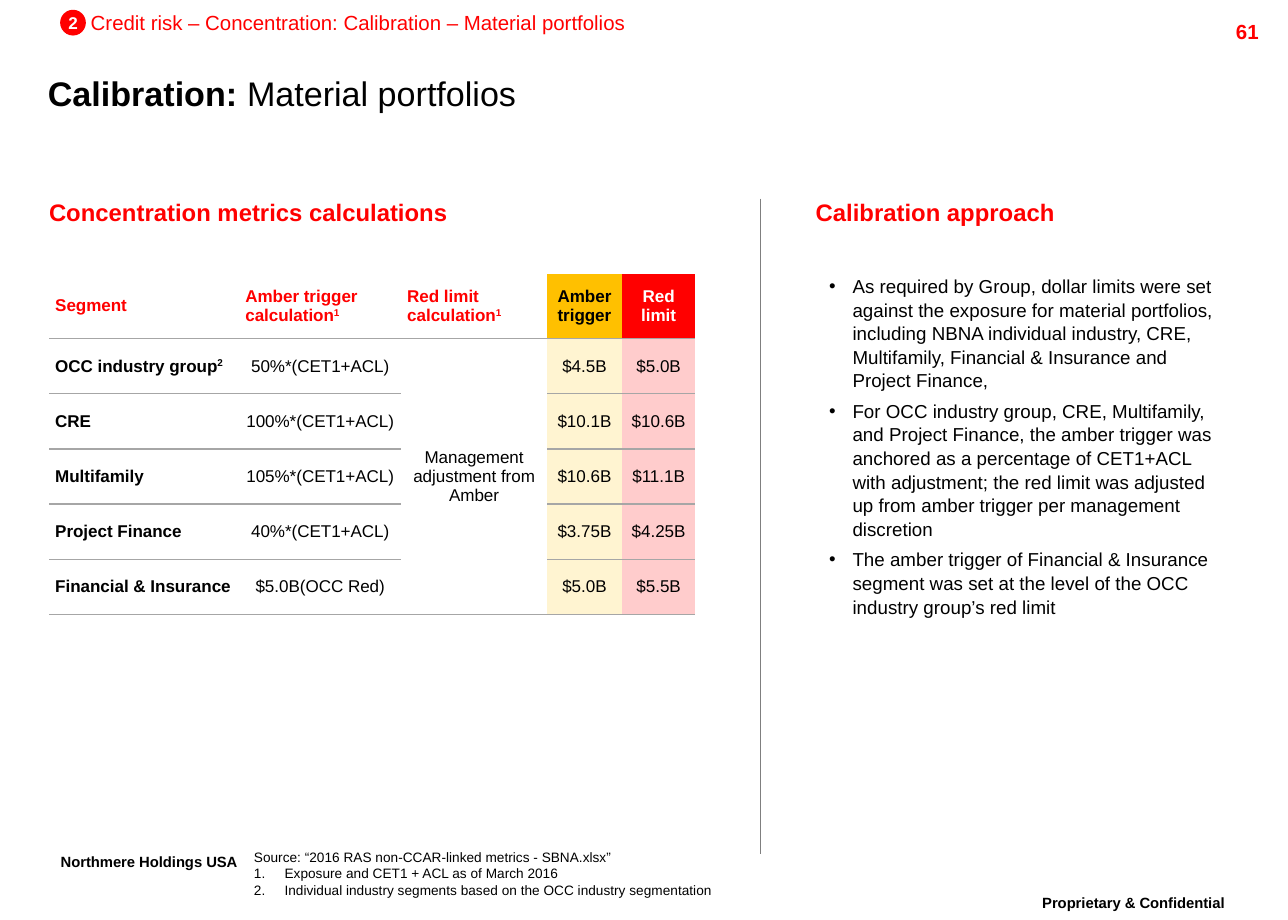
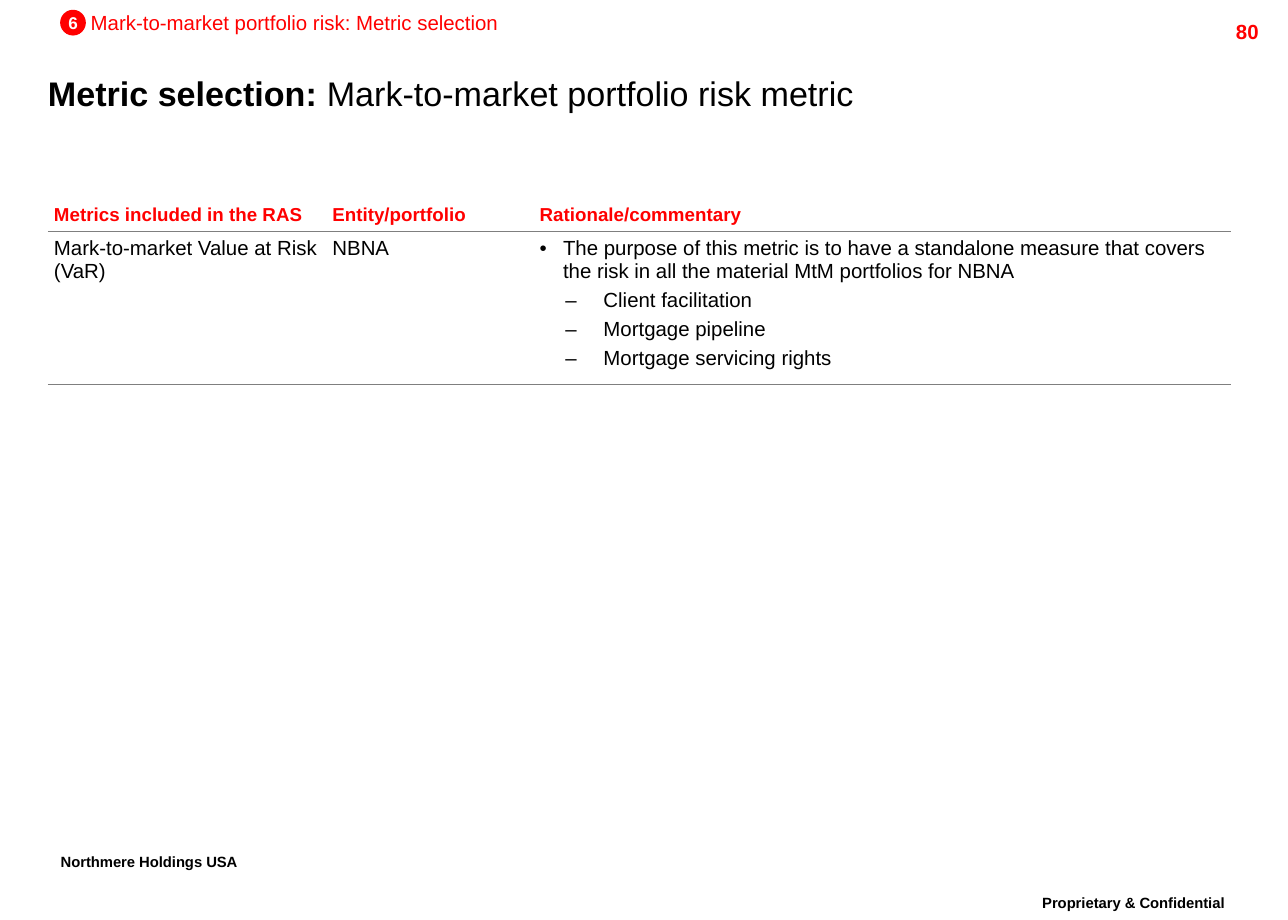
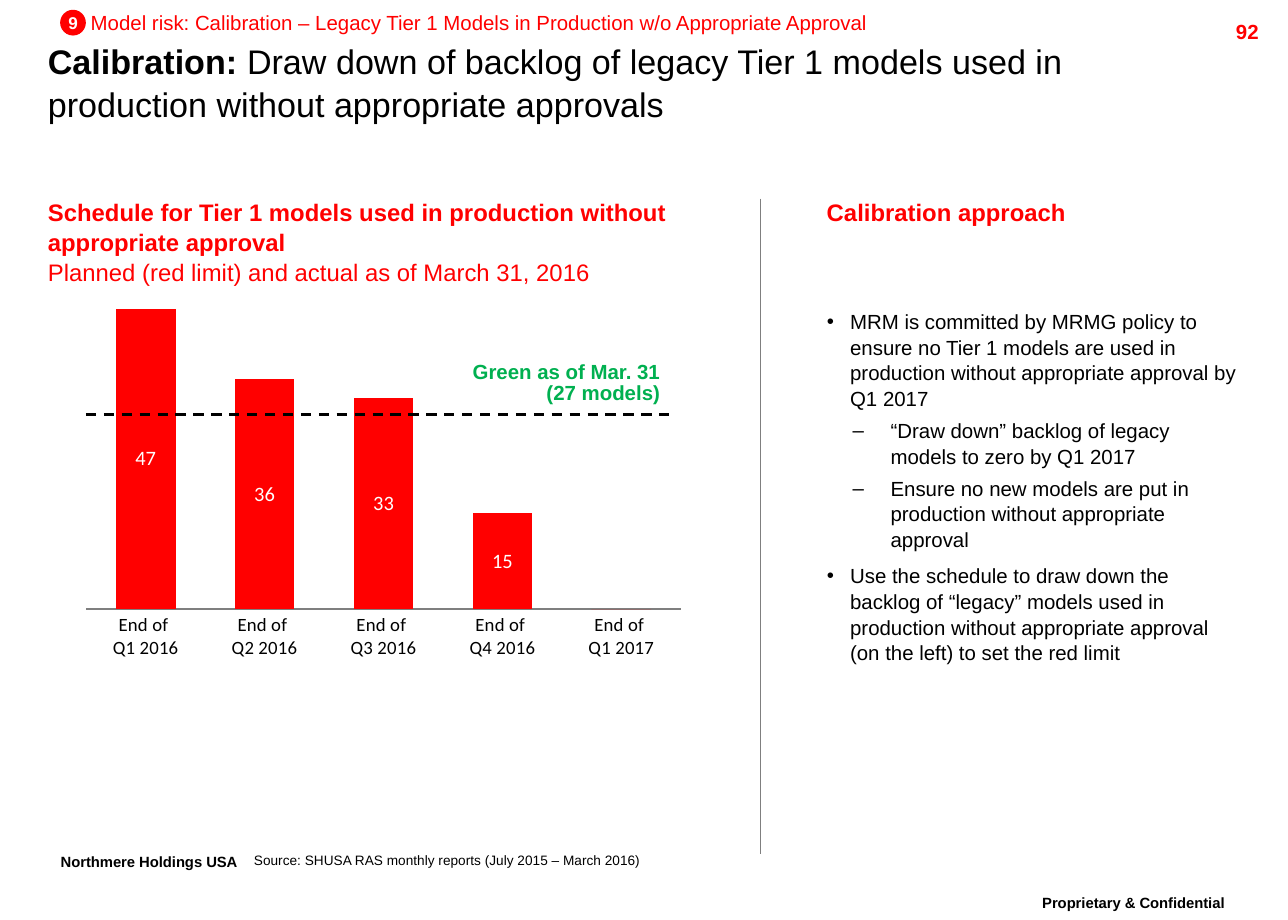
from dataclasses import dataclass
from typing import NamedTuple

import pptx
import pptx.chart.data
import pptx.dml.color
import pptx.enum.chart
import pptx.enum.dml
import pptx.enum.shapes
import pptx.enum.text
import pptx.oxml
import pptx.oxml.ns
import pptx.util

Inches = pptx.util.Inches
Pt = pptx.util.Pt
ALIGN = pptx.enum.text.PP_ALIGN
ANCHOR = pptx.enum.text.MSO_ANCHOR
qn = pptx.oxml.ns.qn
NO_GRID_STYLE = "{2D5ABB26-0587-4C30-8999-92F81FD0307C}"
TITLE_AND_BODY, TITLE_ONLY = 1, 5


@dataclass(frozen=True)
class Theme:
    font: str = "Arial"
    chart_font: str = "Calibri"
    red: str = "FF0000"
    amber: str = "FFC000"
    green: str = "00B050"
    black: str = "000000"
    white: str = "FFFFFF"
    pale_amber: str = "FFF4D1"
    pale_red: str = "FFCCCC"
    grey: str = "7F7F7F"
    light_grey: str = "A6A6A6"
    title: int = 20
    footer: int = 15
    heading: int = 14
    body: int = 12
    compact: int = 11
    cell: int = 10
    note: int = 8
    loose: float = 1.05
    tight: float = 0.86


T = Theme()


class Run(NamedTuple):
    text: str
    bold: bool = False
    raised: bool = False


def rgb(color):
    return pptx.dml.color.RGBColor.from_string(color)


def place(sp, box):
    sp.left, sp.top, sp.width, sp.height = (Inches(v) for v in box)


def set_margins(target, x, y):
    target.margin_left = target.margin_right = Inches(x)
    target.margin_top = target.margin_bottom = Inches(y)


def write(tf, paragraphs, size, color=T.black, align=ALIGN.LEFT, spacing=1.0):
    """Fill a text frame; each paragraph is a list of Run."""
    for i, runs in enumerate(paragraphs):
        p = tf.add_paragraph() if i else tf.paragraphs[0]
        p.alignment = align
        p.line_spacing = spacing
        p.space_before = Pt(0)
        for run in runs:
            r = p.add_run()
            r.text = run.text
            r.font.name = T.font
            r.font.size = Pt(size)
            r.font.bold = run.bold
            r.font.color.rgb = rgb(color)
            if run.raised:
                r._r.get_or_add_rPr().set("baseline", "30000")


def add_text(slide, box, paragraphs, size, margins=(0, 0), wrap=True,
             anchor=ANCHOR.TOP, **style):
    sp = slide.shapes.add_textbox(*(Inches(v) for v in box))
    tf = sp.text_frame
    tf.word_wrap = wrap
    tf.vertical_anchor = anchor
    set_margins(tf, *margins)
    write(tf, paragraphs, size, **style)
    return tf


def mark(p, left, hang, tag, **attributes):
    """Give a paragraph a hanging bullet or number."""
    pPr = p._p.get_or_add_pPr()
    pPr.set("marL", str(Inches(left)))
    pPr.set("indent", str(-Inches(hang)))
    for name, values in (("a:buFont", {"typeface": T.font}), (tag, attributes)):
        el = pptx.oxml.parse_xml(f'<{name} {pptx.oxml.ns.nsdecls("a")}/>')
        for key, value in values.items():
            el.set(key, value)
        pPr.append(el)


def write_list(tf, items, size, gap, spacing=1.0):
    """Write (level, text) items as bullets at level 0 and dashes at level 1."""
    write(tf, [[Run(text)] for _, text in items], size, spacing=spacing)
    for i, (p, (level, _)) in enumerate(zip(tf.paragraphs, items)):
        if i:
            p.space_before = Pt(0.3 * size if level else gap)
        if level:
            mark(p, 0.52, 0.31, "a:buChar", char="–")
        else:
            mark(p, 0.19, 0.19, "a:buChar", char="•")


def add_line(slide, x1, y1, x2, y2, color, width, dash=None):
    ln = slide.shapes.add_connector(pptx.enum.shapes.MSO_CONNECTOR.STRAIGHT,
                                    *(Inches(v) for v in (x1, y1, x2, y2)))
    ln.line.color.rgb = rgb(color)
    ln.line.width = Pt(width)
    if dash:
        ln.line.dash_style = dash
    ln._element.spPr.append(
        pptx.oxml.parse_xml(f'<a:effectLst {pptx.oxml.ns.nsdecls("a")}/>'))


def add_breadcrumb(slide, left, top, number, text):
    side = 0.21
    sp = slide.shapes.add_shape(pptx.enum.shapes.MSO_SHAPE.OVAL,
                                *(Inches(v) for v in (left, top, side, side)))
    sp.shadow.inherit = False
    sp.fill.solid()
    sp.fill.fore_color.rgb = rgb(T.red)
    sp.line.fill.background()
    tf = sp.text_frame
    tf.word_wrap = False
    tf.vertical_anchor = ANCHOR.MIDDLE
    set_margins(tf, 0, 0)
    write(tf, [[Run(number, bold=True)]], T.cell, T.white, ALIGN.CENTER)
    add_text(slide, (left + 0.25, top, 8, 0.2), [[Run(text)]], T.body, color=T.red)


def add_slide(prs, layout, page, section, crumb, title, title_top=0.51):
    """Start a slide with the parts that every slide shares."""
    slide = prs.slides.add_slide(prs.slide_layouts[layout])
    place(slide.shapes.title, (0.39, title_top, 9.48, 0.48))
    tf = slide.shapes.title.text_frame
    tf.auto_size = pptx.enum.text.MSO_AUTO_SIZE.NONE
    tf.word_wrap = True
    tf.vertical_anchor = ANCHOR.MIDDLE
    set_margins(tf, 0, 0)
    lead, rest = title
    write(tf, [[Run(lead + " ", bold=True), Run(rest)]], T.title, spacing=T.loose)

    add_breadcrumb(slide, 0.49, 0.08, section, crumb)
    add_text(slide, (9.36, 0.11, 1, 0.24), [[Run(page, bold=True)]], T.body,
             margins=(0.1, 0.05), color=T.red, align=ALIGN.RIGHT)
    for box, text, wrap in (
            ((8.15, 7.25, 2.18, 0.35), "Proprietary & Confidential", True),
            ((0.26, 6.91, 1.91, 0.35), "Northmere Holdings USA", False)):
        add_text(slide, box, [[Run(text, bold=True, raised=True)]], T.footer,
                 margins=(0.1, 0.05), wrap=wrap, align=ALIGN.CENTER,
                 spacing=T.tight)
    return slide


def add_heading(slide, box, bold, plain=None):
    paragraphs = [[Run(bold, bold=True)]]
    if plain:
        paragraphs.append([Run(plain)])
    add_text(slide, box, paragraphs, T.heading, color=T.red, spacing=T.loose)


def add_approach(slide, heading_left, box, items, size, gap):
    """Right-hand column: divider, heading and bullets in the body placeholder."""
    add_line(slide, 6.2, 1.62, 6.2, 6.96, T.grey, 0.75)
    add_heading(slide, (heading_left, 1.6, 3.36, 0.28), "Calibration approach")
    sp = slide.placeholders[1]
    place(sp, box)
    tf = sp.text_frame
    tf.auto_size = pptx.enum.text.MSO_AUTO_SIZE.NONE
    tf.word_wrap = True
    set_margins(tf, 0, 0)
    write_list(tf, items, size, gap, T.loose)


def add_table(slide, left, top, widths, heights):
    table = slide.shapes.add_table(
        len(heights), len(widths), Inches(left), Inches(top),
        Inches(sum(widths)), Inches(sum(heights))).table
    table.first_row = table.horz_banding = False
    table._tbl.tblPr.find(qn("a:tableStyleId")).text = NO_GRID_STYLE
    for column, width in zip(table.columns, widths):
        column.width = Inches(width)
    for row, height in zip(table.rows, heights):
        row.height = Inches(height)
    return table


def format_cell(cell, margin_y, anchor, fill=None):
    set_margins(cell, 0.05, margin_y)
    cell.vertical_anchor = anchor
    if fill:
        cell.fill.solid()
        cell.fill.fore_color.rgb = rgb(fill)
    else:
        cell.fill.background()


def underline_cell(cell, color, width):
    cell._tc.get_or_add_tcPr().insert(0, pptx.oxml.parse_xml(
        f'<a:lnB {pptx.oxml.ns.nsdecls("a")} w="{Pt(width)}"><a:solidFill>'
        f'<a:srgbClr val="{color}"/></a:solidFill></a:lnB>'))


def add_limits_table(slide, left, top):
    merged = 2
    header = [
        [[Run("Segment", True)]],
        [[Run("Amber trigger calculation", True), Run("1", True, True)]],
        [[Run("Red limit calculation", True), Run("1", True, True)]],
        [[Run("Amber trigger", True)]],
        [[Run("Red", True)], [Run("limit", True)]],
    ]
    header_colors = [T.red, T.red, T.red, T.black, T.white]
    header_fills = [None, None, None, T.amber, T.red]
    body_fills = [None, None, None, T.pale_amber, T.pale_red]
    rows = [
        ("OCC industry group", "50%*(CET1+ACL)", "Management adjustment from Amber",
         "$4.5B", "$5.0B"),
        ("CRE", "100%*(CET1+ACL)", "", "$10.1B", "$10.6B"),
        ("Multifamily", "105%*(CET1+ACL)", "", "$10.6B", "$11.1B"),
        ("Project Finance", "40%*(CET1+ACL)", "", "$3.75B", "$4.25B"),
        ("Financial & Insurance", "$5.0B(OCC Red)", "", "$5.0B", "$5.5B"),
    ]
    last = len(rows)
    table = add_table(slide, left, top, [1.55, 1.32, 1.19, 0.61, 0.6],
                      [0.53] + [0.45] * last)
    table.cell(1, merged).merge(table.cell(last, merged))
    for c, paragraphs in enumerate(header):
        cell = table.cell(0, c)
        format_cell(cell, 0.02, ANCHOR.MIDDLE, header_fills[c])
        underline_cell(cell, T.light_grey, 1)
        write(cell.text_frame, paragraphs, T.cell, header_colors[c],
              ALIGN.CENTER if header_fills[c] else ALIGN.LEFT)
    for r, values in enumerate(rows, 1):
        for c, value in enumerate(values):
            cell = table.cell(r, c)
            format_cell(cell, 0.02, ANCHOR.MIDDLE, body_fills[c])
            if c != merged or r in (1, last):
                underline_cell(cell, T.light_grey, 1)
            if value:
                runs = [Run(value, bold=c == 0)]
                if (r, c) == (1, 0):
                    runs.append(Run("2", True, True))
                write(cell.text_frame, [runs], T.cell,
                      align=ALIGN.CENTER if c else ALIGN.LEFT)


def add_metrics_table(slide, left, top):
    table = add_table(slide, left, top, [2.27, 1.69, 5.69], [0.28, 1.25])
    header = ["Metrics included in the RAS", "Entity/portfolio", "Rationale/commentary"]
    for c, text in enumerate(header):
        write(table.cell(0, c).text_frame, [[Run(text, bold=True)]], T.compact, T.red)
    for c, text in enumerate(["Mark-to-market Value at Risk (VaR)", "NBNA"]):
        write(table.cell(1, c).text_frame, [[Run(text)]], T.body)
    write_list(table.cell(1, 2).text_frame, [
        (0, "The purpose of this metric is to have a standalone measure that covers "
            "the risk in all the material MtM portfolios for NBNA"),
        (1, "Client facilitation"),
        (1, "Mortgage pipeline"),
        (1, "Mortgage servicing rights"),
    ], T.body, 6)
    for r, anchor in enumerate((ANCHOR.BOTTOM, ANCHOR.TOP)):
        for cell in table.rows[r].cells:
            format_cell(cell, 0.05, anchor)
            underline_cell(cell, T.grey, 0.75)


def set_plot_area(chart, **fractions):
    """Fix the inner plot area as fractions of the chart's size."""
    parts = '<c:layoutTarget val="inner"/><c:xMode val="edge"/><c:yMode val="edge"/>'
    parts += "".join(f'<c:{k} val="{v}"/>' for k, v in fractions.items())
    plot_area = chart._chartSpace.chart.plotArea
    for old in plot_area.findall(qn("c:layout")):
        plot_area.remove(old)
    plot_area.insert(0, pptx.oxml.parse_xml(
        f'<c:layout {pptx.oxml.ns.nsdecls("c")}><c:manualLayout>{parts}'
        '</c:manualLayout></c:layout>'))


def add_schedule_chart(slide, left, top):
    data = pptx.chart.data.CategoryChartData()
    quarters = ["Q1 2016", "Q2 2016", "Q3 2016", "Q4 2016", "Q1 2017"]
    data.categories = [f"End of \n{quarter}" for quarter in quarters]
    data.add_series("Series 1", [47, 36, 33, 15, 0])
    chart = slide.shapes.add_chart(
        pptx.enum.chart.XL_CHART_TYPE.COLUMN_STACKED, Inches(left), Inches(top),
        Inches(6.06), Inches(3.14), data).chart
    chart.has_legend = chart.has_title = False
    chart.font.name = T.chart_font
    chart.font.size = Pt(T.compact)
    chart.font.color.rgb = rgb(T.black)
    set_plot_area(chart, x=0.05, y=0, w=0.8, h=0.83)

    value_axis = chart.value_axis
    value_axis.visible = value_axis.has_major_gridlines = False
    value_axis.minimum_scale, value_axis.maximum_scale = 0, 50
    category_axis = chart.category_axis
    category_axis.major_tick_mark = pptx.enum.chart.XL_TICK_MARK.NONE
    category_axis.format.line.color.rgb = rgb(T.grey)
    category_axis.format.line.width = Pt(0.75)

    plot = chart.plots[0]
    plot.vary_by_categories = False
    plot.gap_width, plot.overlap = 99, 100
    fill = plot.series[0].format.fill
    fill.solid()
    fill.fore_color.rgb = rgb(T.red)
    plot.has_data_labels = True
    labels = plot.data_labels
    labels.show_value = True
    labels.number_format = "0;;"
    labels.number_format_is_linked = False
    labels.font.name = T.chart_font
    labels.font.size = Pt(T.body)
    labels.font.color.rgb = rgb(T.white)

    line_y = top + 1.02
    add_line(slide, left + 0.3, line_y, left + 5.06, line_y, T.black, 1.5,
             pptx.enum.dml.MSO_LINE.DASH)
    add_text(slide, (left + 3.28, top + 0.55, 1.8, 0.45),
             [[Run("Green as of Mar. 31", True)], [Run("(27 models)", True)]], T.body,
             margins=(0.1, 0.05), color=T.green, align=ALIGN.RIGHT, spacing=T.tight)


def build_portfolios(prs):
    slide = add_slide(prs, TITLE_AND_BODY, "61", "2",
                      "Credit risk – Concentration: Calibration – Material portfolios",
                      ("Calibration:", "Material portfolios"))
    add_heading(slide, (0.4, 1.6, 4.5, 0.28), "Concentration metrics calculations")
    add_limits_table(slide, 0.4, 2.23)
    add_approach(slide, 6.65, (6.76, 2.23, 3.15, 2.7), [
        (0, "As required by Group, dollar limits were set against the exposure for "
            "material portfolios, including NBNA individual industry, CRE, Multifamily, "
            "Financial & Insurance and Project Finance,"),
        (0, "For OCC industry group, CRE, Multifamily, and Project Finance, the amber "
            "trigger was anchored as a percentage of CET1+ACL with adjustment; the red "
            "limit was adjusted up from amber trigger per management discretion"),
        (0, "The amber trigger of Financial & Insurance segment was set at the level of "
            "the OCC industry group’s red limit"),
    ], T.compact, 4)
    tf = add_text(slide, (2.07, 6.92, 7.45, 0.4), [
        [Run("Source: “2016 RAS non-CCAR-linked metrics - SBNA.xlsx”")],
        [Run("Exposure and CET1 + ACL as of March 2016")],
        [Run("Individual industry segments based on the OCC industry segmentation")],
    ], T.note, anchor=ANCHOR.BOTTOM)
    for p in tf.paragraphs[1:]:
        mark(p, 0.25, 0.25, "a:buAutoNum", type="arabicPeriod")


def build_metric_selection(prs):
    slide = add_slide(prs, TITLE_ONLY, "80", "6",
                      "Mark-to-market portfolio risk: Metric selection",
                      ("Metric selection:", "Mark-to-market portfolio risk metric"))
    add_metrics_table(slide, 0.39, 1.6)


def build_model_backlog(prs):
    slide = add_slide(prs, TITLE_AND_BODY, "92", "9",
                      "Model risk: Calibration – Legacy Tier 1 Models in Production "
                      "w/o Appropriate Approval",
                      ("Calibration:", "Draw down of backlog of legacy Tier 1 models used "
                       "in production without appropriate approvals"), title_top=0.42)
    add_heading(slide, (0.39, 1.6, 5.25, 0.51),
                "Schedule for Tier 1 models used in production without appropriate "
                "approval", "Planned (red limit) and actual as of March 31, 2016")
    add_schedule_chart(slide, 0.4, 2.36)
    add_approach(slide, 6.74, (6.74, 2.51, 3.37, 4.45), [
        (0, "MRM is committed by MRMG policy to ensure no Tier 1 models are used in "
            "production without appropriate approval by Q1 2017"),
        (1, "“Draw down” backlog of legacy models to zero by Q1 2017"),
        (1, "Ensure no new models are put in production without appropriate approval"),
        (0, "Use the schedule to draw down the backlog of “legacy” models used in "
            "production without appropriate approval (on the left) to set the red limit"),
    ], T.body, 6)
    add_text(slide, (2.07, 6.95, 7.45, 0.13),
             [[Run("Source: SHUSA RAS monthly reports (July 2015 – March 2016)")]],
             T.note, anchor=ANCHOR.BOTTOM)


def main():
    prs = pptx.Presentation()
    prs.slide_width, prs.slide_height = Inches(10.5), Inches(7.5)
    build_portfolios(prs)
    build_metric_selection(prs)
    build_model_backlog(prs)
    prs.save("out.pptx")


if __name__ == "__main__":
    main()
